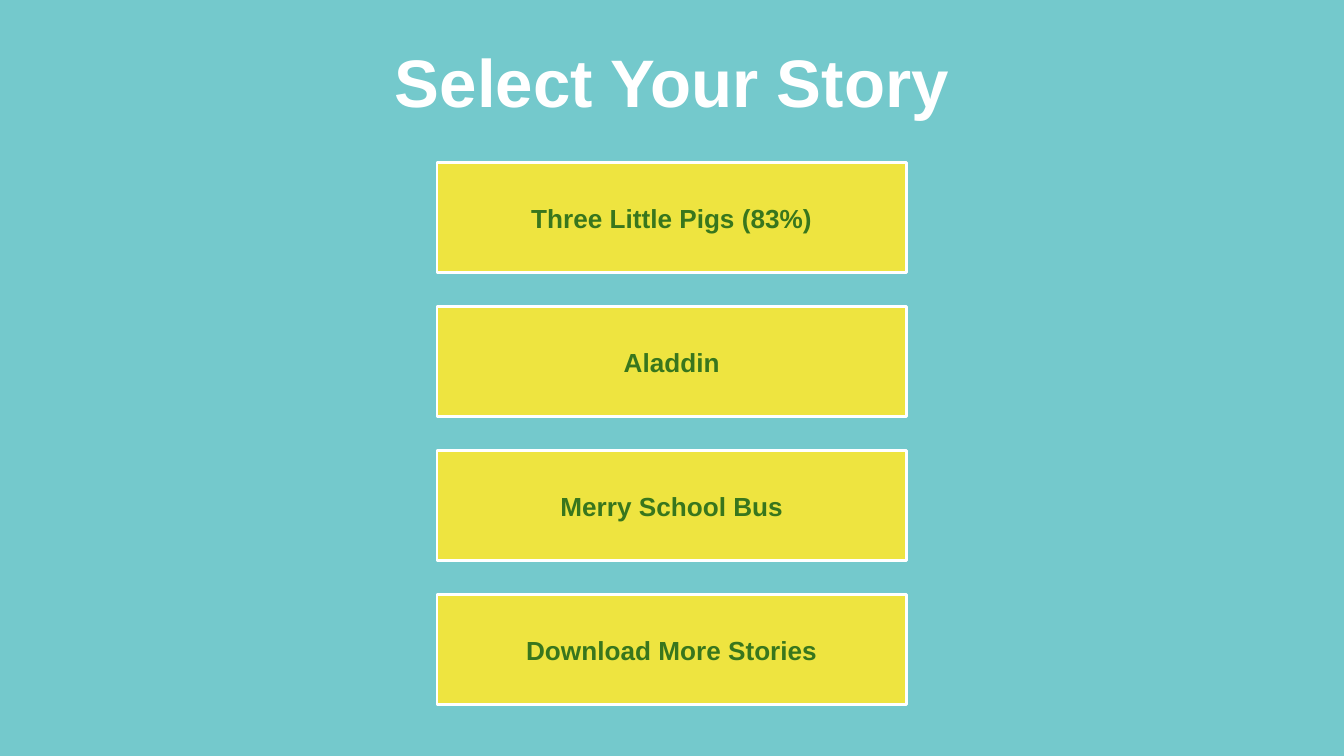
from pptx import Presentation
from pptx.dml.color import RGBColor
from pptx.enum.shapes import MSO_SHAPE
from pptx.enum.text import MSO_ANCHOR, PP_ALIGN
from pptx.util import Cm, Pt

RECTANGLE = MSO_SHAPE.RECTANGLE
BOTTOM, MIDDLE = MSO_ANCHOR.BOTTOM, MSO_ANCHOR.MIDDLE
CENTER = PP_ALIGN.CENTER

TEAL, YELLOW, GREEN, WHITE = "74C9CC", "EEE440", "38761D", "FFFFFF"
BUTTON_LEFT, BUTTON_WIDTH, BUTTON_HEIGHT = 8.26, 8.87, 2.08
FIRST_BUTTON_TOP, BUTTON_PITCH = 3.08, 2.72
STORIES = [
    "Three Little Pigs (83%)",
    "Aladdin",
    "Merry School Bus",
    "Download More Stories",
]


def paint(color_format, color):
    """Fill a fill format with one solid colour."""
    color_format.solid()
    color_format.fore_color.rgb = RGBColor.from_string(color)


def write_text(shape, text, size, color, anchor):
    frame = shape.text_frame
    frame.word_wrap = True
    frame.vertical_anchor = anchor
    frame.margin_left = frame.margin_right = Cm(0.25)
    frame.margin_top = frame.margin_bottom = Cm(0.25)
    paragraph = frame.paragraphs[0]
    paragraph.alignment = CENTER
    run = paragraph.add_run()
    run.text = text
    run.font.name = "Arial"
    run.font.size = Pt(size)
    run.font.bold = True
    run.font.color.rgb = RGBColor.from_string(color)


def add_title(slide, text):
    title = slide.shapes.add_textbox(Cm(1.9), Cm(0), Cm(21.6), Cm(2.54))
    write_text(title, text, 36, WHITE, BOTTOM)


def add_story_button(slide, top, story):
    button = slide.shapes.add_shape(
        RECTANGLE, Cm(BUTTON_LEFT), Cm(top), Cm(BUTTON_WIDTH), Cm(BUTTON_HEIGHT)
    )
    button.shadow.inherit = False
    paint(button.fill, YELLOW)
    paint(button.line.fill, WHITE)
    button.line.width = Pt(1.5)
    write_text(button, story, 14, GREEN, MIDDLE)


def main():
    deck = Presentation()
    deck.slide_width, deck.slide_height = Cm(25.4), Cm(14.29)
    slide = deck.slides.add_slide(deck.slide_layouts[6])
    paint(slide.background.fill, TEAL)
    add_title(slide, "Select Your Story")
    for row, story in enumerate(STORIES):
        add_story_button(slide, FIRST_BUTTON_TOP + row * BUTTON_PITCH, story)
    deck.save("out.pptx")


if __name__ == "__main__":
    main()
